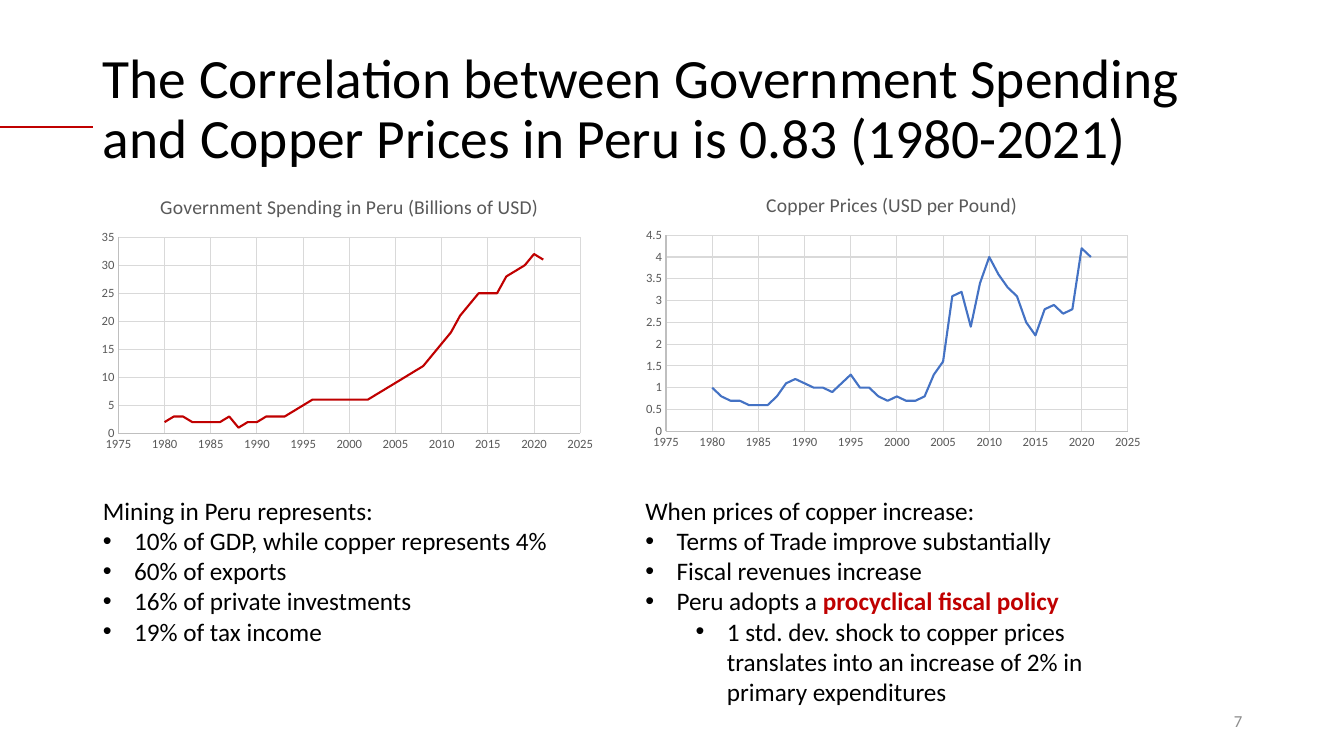
"""Build the slide on government spending and copper prices in Peru."""
from dataclasses import dataclass

from lxml.etree import SubElement
from pptx import Presentation
from pptx.chart.data import XyChartData
from pptx.dml.color import RGBColor
from pptx.enum.chart import XL_CHART_TYPE, XL_TICK_MARK
from pptx.enum.shapes import MSO_CONNECTOR
from pptx.enum.text import MSO_ANCHOR, MSO_AUTO_SIZE, PP_ALIGN
from pptx.oxml import parse_xml
from pptx.oxml.ns import nsdecls, qn
from pptx.util import Inches, Pt

FONT = "Calibri"
BLACK = RGBColor(0, 0, 0)
RED = RGBColor(0xC0, 0, 0)
BLUE = RGBColor(0x44, 0x72, 0xC4)
GRAY = RGBColor(0x59, 0x59, 0x59)
AXIS = RGBColor(0xBF, 0xBF, 0xBF)
GRID = RGBColor(0xD9, 0xD9, 0xD9)
PAGE = RGBColor(0x8C, 0x8C, 0x8C)
FIRST_YEAR = 1980
LEFT, RIGHT = 0.92, 6.3


@dataclass
class Plot:
    title: str
    left: float
    top: float
    color: RGBColor
    top_value: float
    step: float
    inner: tuple[float, float, float, float]
    values: list[float]


@dataclass
class Item:
    text: str
    level: int = 0
    bullet: bool = True
    accent: str = ""


@dataclass
class Column:
    left: float
    height: float
    items: list[Item]


PLOTS = [
    Plot("Government Spending in Peru (Billions of USD)", LEFT, 1.77, RED, 35, 5,
         (0.05, 0.21, 0.9, 0.7),
         [2, 3, 3, 2, 2, 2, 2, 3, 1, 2, 2, 3, 3, 3, 4, 5, 6, 6, 6, 6, 6,
          6, 6, 7, 8, 9, 10, 11, 12, 14, 16, 18, 21, 23, 25, 25, 25, 28,
          29, 30, 32, 31]),
    Plot("Copper Prices (USD per Pound)", RIGHT, 1.75, BLUE, 4.5, 0.5,
         (0.06, 0.21, 0.9, 0.7),
         [1, 0.8, 0.7, 0.7, 0.6, 0.6, 0.6, 0.8, 1.1, 1.2, 1.1, 1, 1, 0.9,
          1.1, 1.3, 1, 1, 0.8, 0.7, 0.8, 0.7, 0.7, 0.8, 1.3, 1.6, 3.1, 3.2,
          2.4, 3.4, 4, 3.6, 3.3, 3.1, 2.5, 2.2, 2.8, 2.9, 2.7, 2.8, 4.2, 4]),
]

COLUMNS = [
    Column(LEFT, 1.92, [
        Item("Mining in Peru represents:", bullet=False),
        Item("10% of GDP, while copper represents 4%"),
        Item("60% of exports"),
        Item("16% of private investments"),
        Item("19% of tax income"),
    ]),
    Column(RIGHT, 2.22, [
        Item("When prices of copper increase:", bullet=False),
        Item("Terms of Trade improve substantially"),
        Item("Fiscal revenues increase"),
        Item("Peru adopts a ", accent="procyclical fiscal policy"),
        Item("1 std. dev. shock to copper prices translates into an increase "
             "of 2% in primary expenditures", level=1),
    ]),
]


def place(sp, left: float, top: float, width: float, height: float) -> None:
    sp.left, sp.top = Inches(left), Inches(top)
    sp.width, sp.height = Inches(width), Inches(height)


def style(font, size: float, color: RGBColor, bold: bool = False) -> None:
    font.name, font.size, font.bold = FONT, Pt(size), bold
    font.color.rgb = color


def add_text(p, text: str, *, size: float = 18, color: RGBColor = BLACK,
             bold: bool = False, align=PP_ALIGN.LEFT, spacing: float = 1.0) -> None:
    p.alignment, p.line_spacing = align, spacing
    p.space_before = p.space_after = Pt(0)
    r = p.add_run()
    r.text = text
    style(r.font, size, color, bold)


def prepare(sp, anchor):
    tf = sp.text_frame
    tf.word_wrap, tf.auto_size = True, MSO_AUTO_SIZE.NONE
    tf.vertical_anchor = anchor
    return tf


def add_column(sp, column: Column) -> None:
    place(sp, column.left, 4.86, 5.01, column.height)
    tf = prepare(sp, MSO_ANCHOR.TOP)
    for i, item in enumerate(column.items):
        p = tf.add_paragraph() if i else tf.paragraphs[0]
        p.level = item.level
        add_text(p, item.text)
        if item.accent:
            add_text(p, item.accent, color=RED, bold=True)
        pPr = p._p.get_or_add_pPr()
        margin = 0.31 + 0.5 * item.level if item.bullet else 0
        pPr.set("marL", str(Inches(margin)))
        pPr.set("indent", str(Inches(-0.31 if item.bullet else 0)))
        if item.bullet:
            SubElement(pPr, qn("a:buFont"), typeface="Arial")
            SubElement(pPr, qn("a:buChar"), char="•")
        else:
            SubElement(pPr, qn("a:buNone"))


def format_axis(axis, low: float, high: float, step: float) -> None:
    axis.minimum_scale, axis.maximum_scale, axis.major_unit = low, high, step
    axis.major_tick_mark = axis.minor_tick_mark = XL_TICK_MARK.NONE
    axis.has_major_gridlines = True
    for line, color in ((axis.format.line, AXIS),
                        (axis.major_gridlines.format.line, GRID)):
        line.color.rgb, line.width = color, Pt(0.75)
    style(axis.tick_labels.font, 9, GRAY)
    axis.tick_labels.number_format = "General"
    axis.tick_labels.number_format_is_linked = False


def set_inner_layout(chart, inner: tuple[float, float, float, float]) -> None:
    area = chart._chartSpace.find(".//" + qn("c:plotArea"))
    for old in area.findall(qn("c:layout")):
        area.remove(old)
    sizes = "".join(f'<c:{k} val="{v}"/>' for k, v in zip("xywh", inner))
    area.insert(0, parse_xml(
        f'<c:layout {nsdecls("c")}><c:manualLayout>'
        '<c:layoutTarget val="inner"/><c:xMode val="edge"/>'
        f'<c:yMode val="edge"/>{sizes}</c:manualLayout></c:layout>'))


def add_plot(s, plot: Plot) -> None:
    data = XyChartData()
    points = data.add_series("Series 1")
    for year, value in enumerate(plot.values, FIRST_YEAR):
        points.add_data_point(year, value)
    chart = s.shapes.add_chart(
        XL_CHART_TYPE.XY_SCATTER_LINES_NO_MARKERS, Inches(plot.left),
        Inches(plot.top), Inches(5.09), Inches(2.78), data).chart
    style(chart.font, 10, BLACK)
    chart.has_legend, chart.has_title = False, True
    add_text(chart.chart_title.text_frame.paragraphs[0], plot.title,
             size=14, color=GRAY, align=PP_ALIGN.CENTER)
    chart.chart_title.include_in_layout = False
    format_axis(chart.category_axis, 1975, 2025, 5)
    format_axis(chart.value_axis, 0, plot.top_value, plot.step)
    chart.plots[0].vary_by_categories = False
    series = chart.plots[0].series[0]
    series.smooth = False
    series.format.line.color.rgb = plot.color
    series.format.line.width = Pt(1.5)
    set_inner_layout(chart, plot.inner)


def main() -> None:
    prs = Presentation()
    prs.slide_width, prs.slide_height = Inches(13.33), Inches(7.5)
    s = prs.slides.add_slide(prs.slide_layouts[3])
    title, *bodies = s.placeholders
    place(title, LEFT, 0.4, 11.5, 1.4)
    tf = prepare(title, MSO_ANCHOR.MIDDLE)
    add_text(tf.paragraphs[0], "The Correlation between Government Spending and "
             "Copper Prices in Peru is 0.83 (1980-2021)", size=39.6, spacing=0.9)

    rule = s.shapes.add_connector(MSO_CONNECTOR.STRAIGHT, Inches(LEFT),
                                  Inches(1.26), Inches(0), Inches(1.26))
    rule.line.color.rgb, rule.line.width = RED, Pt(1.5)
    SubElement(rule._element.spPr, qn("a:effectLst"))

    page = s.shapes.add_textbox(Inches(9.42), Inches(6.95), Inches(3), Inches(0.4))
    tf = prepare(page, MSO_ANCHOR.MIDDLE)
    add_text(tf.paragraphs[0], "7", size=12, color=PAGE, align=PP_ALIGN.RIGHT)

    for plot in PLOTS:
        add_plot(s, plot)
    for sp, column in zip(bodies, COLUMNS):
        add_column(sp, column)
    prs.save("out.pptx")


if __name__ == "__main__":
    main()
